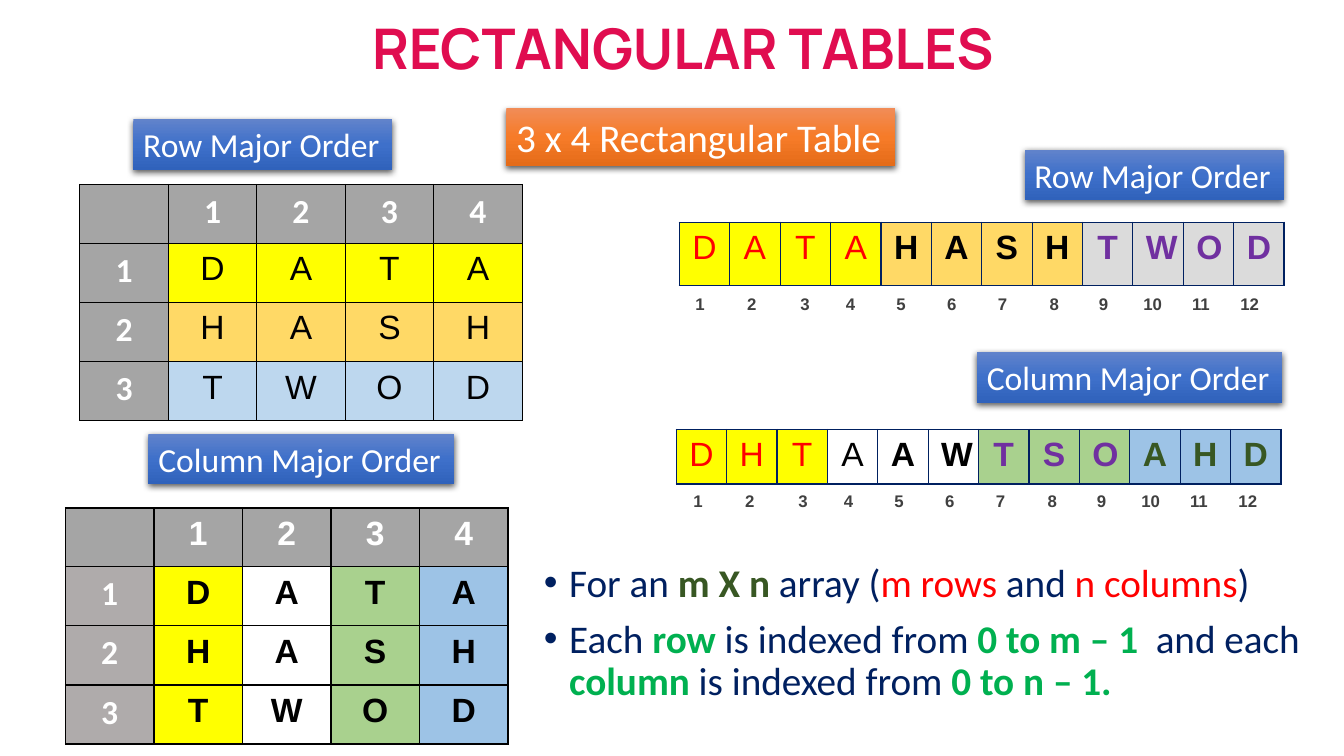
from dataclasses import dataclass
from itertools import chain

from lxml import etree
from pptx import Presentation
from pptx import util as u
from pptx.dml.color import RGBColor
from pptx.enum import shapes, text
from pptx.oxml import parse_xml
from pptx.oxml.ns import nsdecls, qn


@dataclass(frozen=True)
class Theme:
    white: str = "FFFFFF"
    black: str = "000000"
    navy: str = "002060"
    red: str = "FF0000"
    pink: str = "E00D50"
    purple: str = "7030A0"
    forest: str = "385723"
    green: str = "00B050"
    slate: str = "404040"
    head: str = "A5A5A5"
    side: str = "AFABAB"
    yellow: str = "FFFF00"
    gold: str = "FFD966"
    sky: str = "BDD7EE"
    blue: str = "9DC3E6"
    leaf: str = "A9D18E"
    silver: str = "DBDBDB"
    blues: tuple[str, ...] = ("6183CB", "3E70CA", "3062BB")
    warm: tuple[str, ...] = ("F18C57", "F67B28", "E56C19")
    sans: str = "Calibri"
    plain: str = "Arial"
    title: str = "Manrope"
    big: int = 40
    body: int = 28
    mid: int = 24
    small: int = 12


T = Theme()
NO_STYLE = "{2D5ABB26-0587-4C30-8999-92F81FD0307C}"
WORDS = ("DATA", "HASH", "TWOD")


@dataclass(frozen=True)
class Run:
    text: str
    ink: str
    size: int = T.mid
    bold: bool = False
    font: str = T.sans


@dataclass(frozen=True)
class Cell:
    run: Run | None
    fill: str | None
    pad: float = 0  # extra left inset, cm


@dataclass(frozen=True)
class Grid:
    left: float
    top: float
    wide: list[float]
    high: list[float]
    cells: list[list[Cell]]
    edge: str | None = None
    inset: tuple[float, float] = (0.33, 0.18)


@dataclass(frozen=True)
class Label:
    text: str
    left: float
    top: float
    width: float
    height: float = 1.28
    size: int = T.mid
    tones: tuple[str, ...] = T.blues


def add_run(para, run: Run) -> None:
    part = para.add_run()
    part.text = run.text
    font = part.font
    font.size, font.bold, font.name = u.Pt(run.size), run.bold, run.font
    font.color.rgb = RGBColor.from_string(run.ink)


def add_edges(cell, ink: str) -> None:
    props = cell._tc.get_or_add_tcPr()
    for side in "LRTB":
        props.append(parse_xml(
            f'<a:ln{side} {nsdecls("a")} w="12700"><a:solidFill>'
            f'<a:srgbClr val="{ink}"/></a:solidFill></a:ln{side}>'))


def draw_cell(cell, data: Cell, grid: Grid) -> None:
    across, down = grid.inset
    cell.margin_left, cell.margin_right = u.Cm(across + data.pad), u.Cm(across)
    cell.margin_top = cell.margin_bottom = u.Cm(down)
    if grid.edge:
        add_edges(cell, grid.edge)
    if data.fill:
        cell.fill.solid()
        cell.fill.fore_color.rgb = RGBColor.from_string(data.fill)
    else:
        cell.fill.background()
    if data.run:
        para = cell.text_frame.paragraphs[0]
        para.alignment = text.PP_ALIGN.CENTER
        add_run(para, data.run)


def draw_grid(slide, grid: Grid) -> None:
    table = slide.shapes.add_table(
        len(grid.high), len(grid.wide), u.Cm(grid.left), u.Cm(grid.top),
        u.Cm(sum(grid.wide)), u.Cm(sum(grid.high))).table
    table.first_row = table.horz_banding = False
    table._tbl.tblPr.find(qn("a:tableStyleId")).text = NO_STYLE
    for col, width in zip(table.columns, grid.wide):
        col.width = u.Cm(width)
    for row, height, cells in zip(table.rows, grid.high, grid.cells):
        row.height = u.Cm(height)
        for cell, data in zip(row.cells, cells):
            draw_cell(cell, data, grid)


def draw_label(slide, label: Label) -> None:
    box = slide.shapes.add_shape(
        shapes.MSO_SHAPE.RECTANGLE, u.Cm(label.left), u.Cm(label.top),
        u.Cm(label.width), u.Cm(label.height))
    box.line.fill.background()
    box.shadow.inherit = False
    props = box._element.spPr
    stops = "".join(f'<a:gs pos="{50000 * i}"><a:srgbClr val="{tone}"/></a:gs>'
                    for i, tone in enumerate(label.tones))
    props.find(qn("a:ln")).addprevious(parse_xml(
        f'<a:gradFill {nsdecls("a")}><a:gsLst>{stops}</a:gsLst>'
        '<a:lin ang="5400000" scaled="0"/></a:gradFill>'))
    props.find(qn("a:effectLst")).append(parse_xml(
        f'<a:outerShdw {nsdecls("a")} blurRad="57150" dist="19050" dir="5400000" '
        'algn="ctr" rotWithShape="0"><a:srgbClr val="000000">'
        '<a:alpha val="63000"/></a:srgbClr></a:outerShdw>'))
    frame = box.text_frame
    frame.word_wrap = False
    frame.auto_size = text.MSO_AUTO_SIZE.SHAPE_TO_FIT_TEXT
    frame.vertical_anchor = text.MSO_ANCHOR.TOP
    para = frame.paragraphs[0]
    para.alignment = text.PP_ALIGN.LEFT
    add_run(para, Run(label.text, T.white, label.size))


def add_frame(slide, left: float, top: float, width: float, height: float):
    frame = slide.shapes.add_textbox(*map(u.Cm, (left, top, width, height))).text_frame
    frame.word_wrap = True
    return frame


def draw_points(slide, points: list[list[Run]]) -> None:
    frame = add_frame(slide, 13.46, 14.07, 20.09, 3.91)
    for i, runs in enumerate(points):
        para = frame.add_paragraph() if i else frame.paragraphs[0]
        para.line_spacing = 0.9
        if i:
            para.space_before = u.Pt(10)
        props = para._p.get_or_add_pPr()
        props.set("marL", "228600")
        props.set("indent", "-228600")
        etree.SubElement(props, qn("a:buFont")).set("typeface", "Arial")
        etree.SubElement(props, qn("a:buChar")).set("char", "•")
        for run in runs:
            add_run(para, run)


def word_grid(left: float, top: float, fills: list[list[str | None]],
              side: str, bold: bool, font: str) -> Grid:
    """Lay out the words under numbered columns and beside numbered rows."""
    cells = [[Cell(None, T.head)] + [
        Cell(Run(str(n), T.white, bold=True, font=font), T.head) for n in range(1, 5)]]
    for n, (word, row) in enumerate(zip(WORDS, fills), 1):
        cells.append([Cell(Run(str(n), T.white, bold=True), side)] + [
            Cell(Run(char, T.black, bold=bold, font=T.plain), fill)
            for char, fill in zip(word, row)])
    return Grid(left, top, [2.23] * 5, [1.48] + [1.49] * 3, cells, T.black)


def strip(left: float, top: float, height: float, chars: str,
          looks: list[tuple[int, str, str, bool]]) -> Grid:
    """Lay out one row; each look is a count, an ink, a fill and a weight."""
    spread = chain.from_iterable([look[1:]] * look[0] for look in looks)
    cells = [Cell(Run(char, ink, bold=bold, font=T.plain), fill)
             for char, (ink, fill, bold) in zip(chars, spread)]
    return Grid(left, top, [1.27] * 12, [height], [cells], T.navy)


def count_strip(left: float, top: float) -> Grid:
    wide = [1.3, 1.19, 1.37, 1.17, 1.37, 1.19, 1.37, 1.24, 1.24, 1.24, 1.19, 1.27]
    pads = {2: 0.12, 3: 0.24}
    cells = [Cell(Run(str(n), T.slate, T.small, True, T.plain), None, pads.get(n, 0))
             for n in range(1, 13)]
    return Grid(left, top, wide, [0.84], [cells], inset=(0.28, 0.13))


def main() -> None:
    deck = Presentation()
    deck.slide_width, deck.slide_height = u.Cm(33.87), u.Cm(19.05)
    slide = deck.slides.add_slide(deck.slide_layouts[6])

    frame = add_frame(slide, 6.6, 0.13, 21.21, 2.13)
    frame.vertical_anchor = text.MSO_ANCHOR.MIDDLE
    frame.paragraphs[0].alignment = text.PP_ALIGN.CENTER
    add_run(frame.paragraphs[0], Run("RECTANGULAR TABLES", T.pink, T.big, True, T.title))

    by_row = [[fill] * 4 for fill in (T.yellow, T.gold, T.sky)]
    by_col = [[T.yellow, None, T.leaf, T.blue]] * 3
    turned = "".join(chain.from_iterable(zip(*WORDS)))
    for grid in (
        word_grid(2.01, 4.65, by_row, T.head, False, T.sans),
        word_grid(1.65, 12.8, by_col, T.side, True, T.plain),
        strip(17.12, 5.6, 1.6, "".join(WORDS), [
            (4, T.red, T.yellow, False), (4, T.black, T.gold, True),
            (4, T.purple, T.silver, True)]),
        strip(17.04, 10.82, 1.36, turned, [
            (3, T.red, T.yellow, False), (1, T.black, T.white, False),
            (2, T.black, T.white, True), (3, T.purple, T.leaf, True),
            (3, T.forest, T.blue, True)]),
        count_strip(16.99, 7.32),
        count_strip(16.94, 12.27),
    ):
        draw_grid(slide, grid)

    for label in (
        Label("3 x 4 Rectangular Table", 12.76, 2.73, 9.8, 1.45, T.body, T.warm),
        Label("Row Major Order", 3.36, 3.01, 6.53),
        Label("Row Major Order", 25.82, 3.77, 6.53),
        Label("Column Major Order", 3.74, 10.93, 7.7),
        Label("Column Major Order", 24.62, 8.87, 7.7),
    ):
        draw_label(slide, label)

    points = [
        [("For an ", T.navy, False), ("m X n", T.forest, True), (" array (", T.navy, False),
         ("m rows", T.red, False), (" and ", T.navy, False), ("n columns", T.red, False),
         (")", T.navy, False)],
        [("Each ", T.navy, False), ("row", T.green, True),
         (" is indexed from ", T.navy, False), ("0 to m – 1  ", T.green, True),
         ("and each ", T.navy, False), ("column", T.green, True),
         (" is indexed from ", T.navy, False), ("0 to n – 1.", T.green, True)],
    ]
    draw_points(slide, [[Run(words, ink, T.body, bold) for words, ink, bold in point]
                        for point in points])
    deck.save("out.pptx")


if __name__ == "__main__":
    main()
